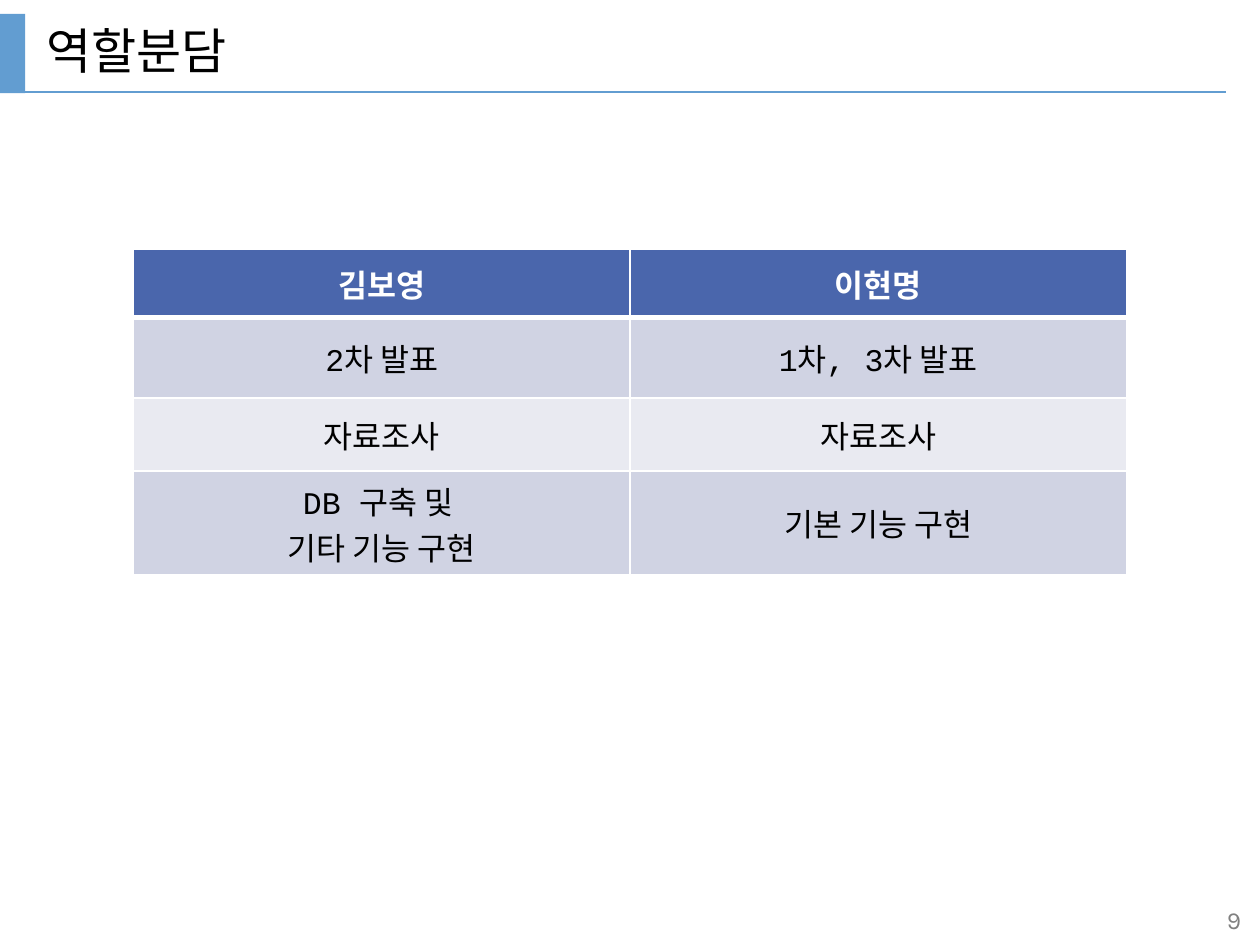
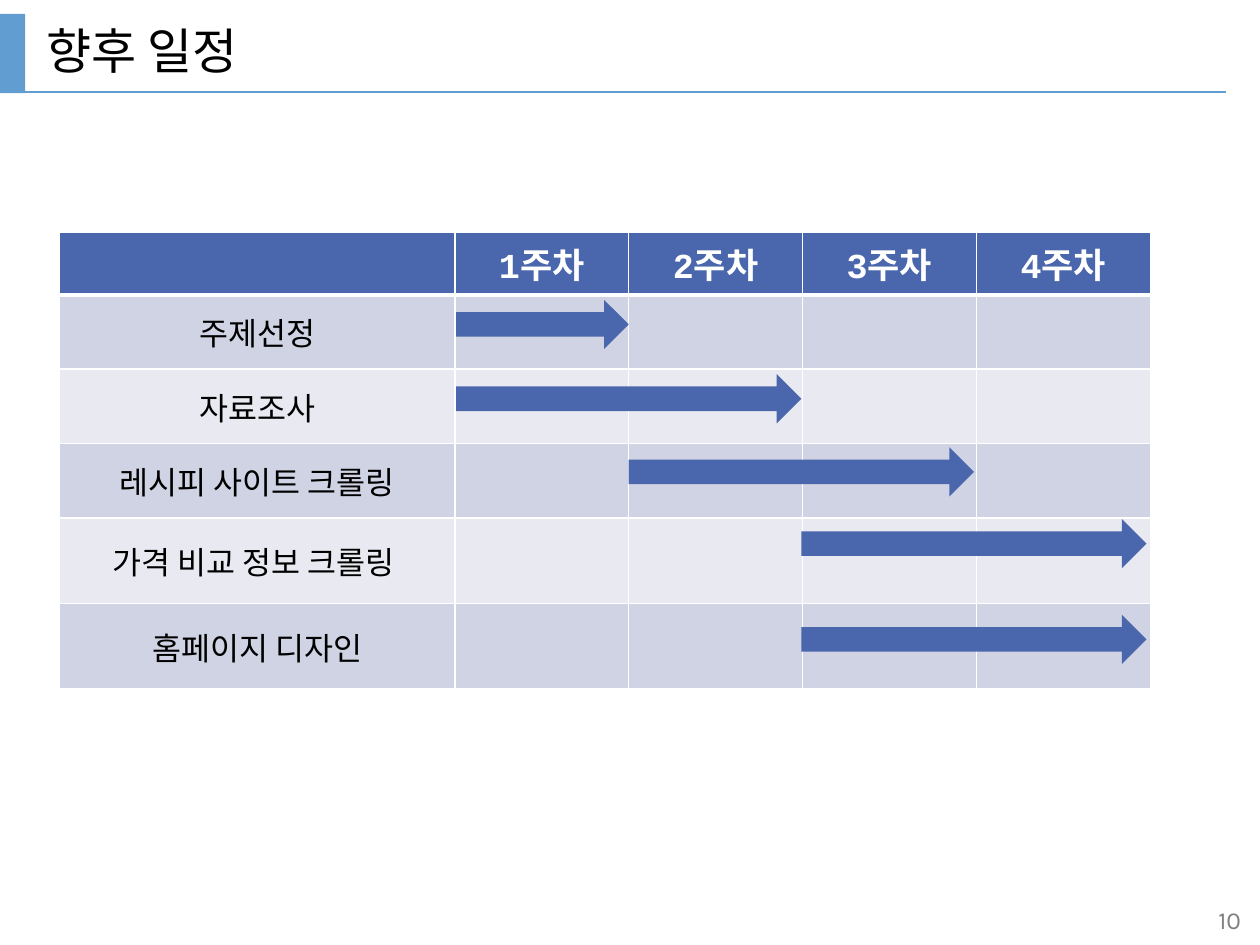
import pptx
import pptx.dml.color
import pptx.enum.shapes
import pptx.enum.text
import pptx.oxml.ns
import pptx.util
from lxml import etree

Inches = pptx.util.Inches
SHAPE = pptx.enum.shapes.MSO_SHAPE
ALIGN = pptx.enum.text.PP_ALIGN
MIDDLE = pptx.enum.text.MSO_ANCHOR.MIDDLE
qn = pptx.oxml.ns.qn

SLIDE_W, SLIDE_H = 10, 7.5
COLORS = {
    "accent": "629DD1",
    "header": "4A66AC",
    "odd": "D0D3E3",
    "even": "E9EAF1",
    "white": "FFFFFF",
    "black": "000000",
    "gray": "808080",
}
HANGUL, MONO, NUMBER = "Noto Sans CJK KR", "Courier New", "Karla"

ROLES = [
    ["김보영", "이현명"],
    ["2차 발표", "1차, 3차 발표"],
    ["자료조사", "자료조사"],
    ["DB 구축 및 \n기타 기능 구현", "기본 기능 구현"],
]

# Task, first week, number of weeks, top of its arrow
WEEKS = 4
TASKS = [
    ("주제선정", 1, 1, 2.38),
    ("자료조사", 1, 2, 2.97),
    ("레시피 사이트 크롤링", 2, 2, 3.55),
    ("가격 비교 정보 크롤링 ", 3, 2, 4.12),
    ("홈페이지 디자인", 3, 2, 4.88),
]
FIRST_WEEK_X, WEEK_STEP, ARROW_H = 3.62, 1.37, 0.39


def rgb(name):
    return pptx.dml.color.RGBColor.from_string(COLORS[name])


def style_text(tf, font, size, color, align, bold=False):
    for p in tf.paragraphs:
        p.alignment = align
        p.font.size = pptx.util.Pt(size)
        p.font.bold = bold
        p.font.color.rgb = rgb(color)
        p.font.name = font
        # Hangul takes its typeface from the East Asian slot
        etree.SubElement(p.font._element, qn("a:ea"), typeface=HANGUL)


def add_text(slide, box, text, font, size, color, align, right_inset=0.1):
    tf = slide.shapes.add_textbox(*map(Inches, box)).text_frame
    tf.word_wrap = True
    tf.vertical_anchor = MIDDLE
    tf.margin_right = Inches(right_inset)
    tf.text = text
    style_text(tf, font, size, color, align)


def add_block(slide, kind, box, color):
    sp = slide.shapes.add_shape(kind, *map(Inches, box))
    sp.shadow.inherit = False
    sp.fill.solid()
    sp.fill.fore_color.rgb = rgb(color)
    sp.line.fill.background()


def add_rule(slide, y, x_end, color):
    line = slide.shapes.add_connector(
        pptx.enum.shapes.MSO_CONNECTOR.STRAIGHT,
        0, Inches(y), Inches(x_end), Inches(y))
    line.line.color.rgb = rgb(color)
    line.line.width = pptx.util.Pt(0.75)
    etree.SubElement(line._element.spPr, qn("a:effectLst"))


def set_borders(cell, row):
    """White cell edges, with a thicker one below the header row."""
    widths = {"L": 1, "R": 1, "T": 3 if row == 1 else 1, "B": 3 if row == 0 else 1}
    tcPr = cell._tc.get_or_add_tcPr()
    for side, width in widths.items():
        ln = etree.SubElement(tcPr, qn(f"a:ln{side}"), w=str(pptx.util.Pt(width)))
        fill = etree.SubElement(ln, qn("a:solidFill"))
        etree.SubElement(fill, qn("a:srgbClr"), val=COLORS["white"])


def add_table(slide, left, top, widths, heights, rows, header_size):
    table = slide.shapes.add_table(
        len(heights), len(widths), Inches(left), Inches(top),
        Inches(sum(widths)), Inches(sum(heights))).table
    for column, width in zip(table.columns, widths):
        column.width = Inches(width)
    for i, (height, texts) in enumerate(zip(heights, rows)):
        table.rows[i].height = Inches(height)
        is_header = i == 0
        fill = "header" if is_header else "odd" if i % 2 else "even"
        for cell, text in zip(table.rows[i].cells, texts):
            set_borders(cell, i)
            cell.fill.solid()
            cell.fill.fore_color.rgb = rgb(fill)
            cell.vertical_anchor = MIDDLE
            cell.text = text
            style_text(cell.text_frame, MONO, header_size if is_header else 18,
                       "white" if is_header else "black", ALIGN.CENTER, is_header)


def add_slide(prs, title, number):
    """Blank slide with the shared title band and page number."""
    slide = prs.slides.add_slide(prs.slide_layouts[6])
    add_text(slide, (8.64, 7.1, 1.36, 0.4), str(number), NUMBER, 14, "gray",
             ALIGN.RIGHT, right_inset=0.15)
    add_block(slide, SHAPE.RECTANGLE, (0, 0.11, 0.2, 0.63), "accent")
    add_rule(slide, 0.73, 9.73, "accent")
    add_text(slide, (0.27, 0, 9.45, 0.8), title, HANGUL, 28, "black", ALIGN.LEFT)
    return slide


def build_roles(prs):
    slide = add_slide(prs, "역할분담", 9)
    add_table(slide, 1.06, 1.98, [3.94] * 2, [0.54, 0.64, 0.58, 0.82], ROLES, 18)


def build_schedule(prs):
    slide = add_slide(prs, "향후 일정", 10)
    header = [""] + [f"{week}주차" for week in range(1, WEEKS + 1)]
    rows = [header] + [[task[0]] + [""] * WEEKS for task in TASKS]
    add_table(slide, 0.47, 1.84, [3.14] + [1.38] * WEEKS,
              [0.5] + [0.59] * 3 + [0.68] * 2, rows, 20)
    # One arrow for the weeks that each task takes
    for _, start, span, top in TASKS:
        left = FIRST_WEEK_X + (start - 1) * WEEK_STEP
        add_block(slide, SHAPE.RIGHT_ARROW,
                  (left, top, span * WEEK_STEP, ARROW_H), "header")


def main():
    prs = pptx.Presentation()
    prs.slide_width, prs.slide_height = Inches(SLIDE_W), Inches(SLIDE_H)
    build_roles(prs)
    build_schedule(prs)
    prs.save("out.pptx")


if __name__ == "__main__":
    main()
